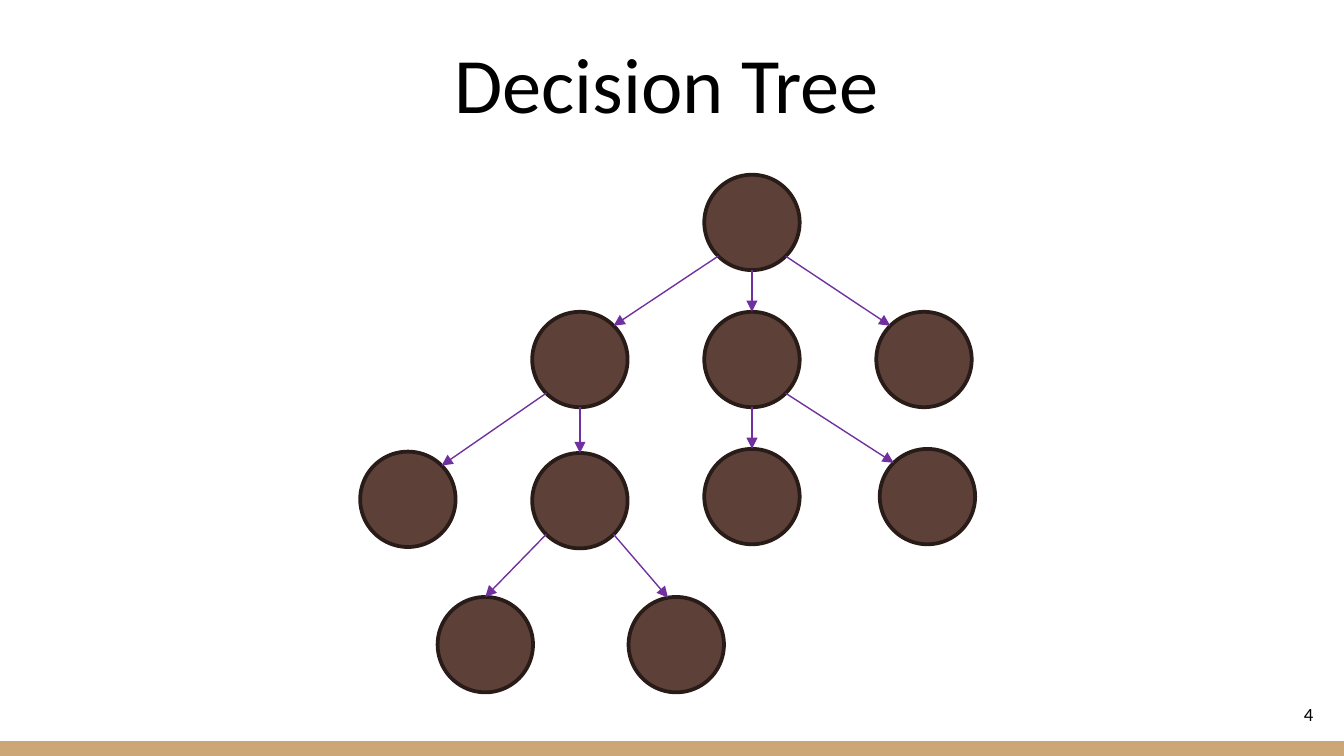
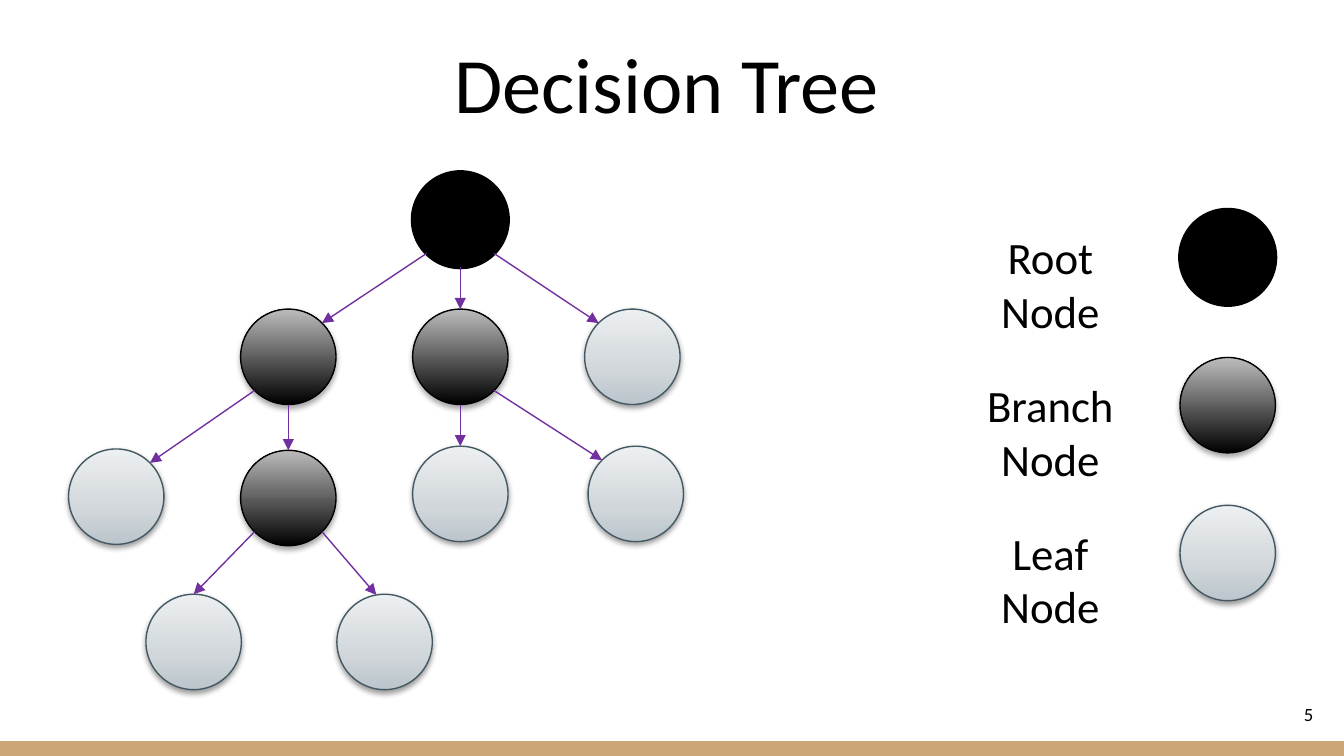
"""Two slides that show a decision tree, first plain and then by kind of node."""
from math import cos, radians, sin

from lxml import etree
from pptx import Presentation
from pptx.dml.color import RGBColor
from pptx.enum.shapes import MSO_CONNECTOR, MSO_SHAPE
from pptx.enum.text import MSO_ANCHOR, MSO_AUTO_SIZE, PP_ALIGN
from pptx.oxml.ns import qn
from pptx.util import Inches, Pt

OVAL, RECT, LINE = MSO_SHAPE.OVAL, MSO_SHAPE.RECTANGLE, MSO_CONNECTOR.STRAIGHT
BOTTOM, MIDDLE, TOP = MSO_ANCHOR.BOTTOM, MSO_ANCHOR.MIDDLE, MSO_ANCHOR.TOP
CENTER, RIGHT = PP_ALIGN.CENTER, PP_ALIGN.RIGHT
FIXED = MSO_AUTO_SIZE.NONE

W = 10
H = W * 9 / 16
BAND = 0.11
FONT = "Calibri"
COLORS = {"page": "FFFFFF", "text": "000000", "band": "CCA677", "arrow": "7030A0"}
KINDS = {
    "plain": {"stops": [(0, "5D4037")], "line": ("291C18", 2)},
    "root": {"stops": [(0, "000000")], "line": ("000000", 2)},
    "branch": {"stops": [(0, "000000"), (100, "BDBDBD")],
               "line": ("000000", 0.75), "shadow": (35, 3.1, 1.8)},
    "leaf": {"stops": [(0, "BBC5CB"), (35, "D0D6DA"), (100, "EDF0F1")],
             "line": ("435863", 0.75), "shadow": (38, 3.1, 1.6)},
}

NODES = {
    "A": (2, 0, "root"),
    "B": (1, 1, "branch"),
    "C": (2, 1, "branch"),
    "D": (0, 2.02, "leaf"),
    "E": (3, 1, "leaf"),
    "F": (3.02, 2, "leaf"),
    "G": (1, 2.03, "branch"),
    "H": (2, 2, "leaf"),
    "I": (0.45, 3.08, "leaf"),
    "J": (1.56, 3.08, "leaf"),
}
ARROWS = [
    ("A", 90, "C", 270), ("A", 135, "B", 315), ("A", 45, "E", 225),
    ("C", 90, "H", 270), ("C", 45, "F", 225),
    ("B", 90, "G", 270), ("B", 135, "D", 315),
    ("G", 135, "I", 270), ("G", 45, "J", 260),
]
LEGEND = [("Root Node", "root"), ("Branch Node", "branch"), ("Leaf Node", "leaf")]
SLIDES = [
    {"title": "Decision Tree", "number": "4", "tree": (2.68, 1.3),
     "colored": False, "legend": []},
    {"title": "Decision Tree", "number": "5", "tree": (0.51, 1.28),
     "colored": True, "legend": LEGEND},
]
SIZE, COL, ROW = 0.71, 1.28, 1.02
LEGEND_X, LEGEND_Y, LEGEND_STEP = 8.78, 1.56, 1.1


def rgb(value):
    return RGBColor.from_string(value)


def box(x, y, w, h):
    return [Inches(v) for v in (x, y, w, h)]


def write(sp, text, size, align, anchor, inset=0.1):
    tf = sp.text_frame
    tf.word_wrap, tf.auto_size, tf.vertical_anchor = True, FIXED, anchor
    tf.margin_left = tf.margin_right = Inches(0.1)
    tf.margin_top = tf.margin_bottom = Inches(inset)
    p = tf.paragraphs[0]
    p.alignment = align
    r = p.add_run()
    r.text = text
    r.font.name, r.font.size = FONT, Pt(size)
    r.font.color.rgb = rgb(COLORS["text"])


def add_color(parent, value):
    return etree.SubElement(parent, qn("a:srgbClr"), val=value)


def paint(fill, stops):
    if len(stops) == 1:
        fill.solid()
        fill.fore_color.rgb = rgb(stops[0][1])


def shade(sp, stops):
    sp.fill.gradient()
    sp.fill.gradient_angle = 90
    gs_list = next(sp._element.spPr.iter(qn("a:gsLst")))
    for gs in list(gs_list):
        gs_list.remove(gs)
    for pos, value in stops:
        gs = etree.SubElement(gs_list, qn("a:gs"), pos=str(pos * 1000))
        add_color(gs, value)


def add_shadow(sp, alpha, blur, dist):
    effects = sp._element.spPr.find(qn("a:effectLst"))
    outer = etree.SubElement(effects, qn("a:outerShdw"), blurRad=str(Pt(blur)),
                             dist=str(Pt(dist)), dir="5400000", rotWithShape="0")
    etree.SubElement(add_color(outer, "000000"), qn("a:alpha"), val=str(alpha * 1000))


def add_node(shapes, x, y, kind):
    style = KINDS[kind]
    sp = shapes.add_shape(OVAL, *box(x, y, SIZE, SIZE))
    sp.shadow.inherit = False
    color, width = style["line"]
    sp.line.color.rgb, sp.line.width = rgb(color), Pt(width)
    if "shadow" in style:
        shade(sp, style["stops"])
        add_shadow(sp, *style["shadow"])
    else:
        paint(sp.fill, style["stops"])


def rim(corner, angle):
    turn = radians(angle)
    x, y = corner
    return (Inches(x + SIZE / 2 * (1 + cos(turn))),
            Inches(y + SIZE / 2 * (1 + sin(turn))))


def add_arrow(shapes, start, end):
    cxn = shapes.add_connector(LINE, *start, *end)
    cxn.line.color.rgb, cxn.line.width = rgb(COLORS["arrow"]), Pt(0.75)
    ln = cxn._element.spPr.find(qn("a:ln"))
    etree.SubElement(ln, qn("a:tailEnd"), type="triangle")
    etree.SubElement(cxn._element.spPr, qn("a:effectLst"))


def add_tree(s, origin, colored):
    shapes = s.shapes.add_group_shape().shapes
    left, top = origin
    corners = {}
    for name, (col, row, kind) in NODES.items():
        corners[name] = (left + col * COL, top + row * ROW)
        add_node(shapes, *corners[name], kind if colored else "plain")
    for parent, leave, child, arrive in ARROWS:
        add_arrow(shapes, rim(corners[parent], leave), rim(corners[child], arrive))


def add_legend(s, entries):
    for i, (label, kind) in enumerate(entries):
        y = LEGEND_Y + i * LEGEND_STEP
        add_node(s.shapes, LEGEND_X, y, kind)
        sp = s.shapes.add_textbox(*box(7.06, y + 0.1, 1.51, 0.5))
        write(sp, label, 24, CENTER, TOP, 0.05)


def add_frame(s, title, number):
    paint(s.background.fill, [(0, COLORS["page"])])
    band = s.shapes.add_shape(RECT, *box(0, H - BAND, W, BAND))
    band.shadow.inherit = False
    paint(band.fill, [(0, COLORS["band"])])
    band.line.fill.background()
    sp = s.shapes.title
    sp.left, sp.top, sp.width, sp.height = box(0.3, 0.15, 9.32, 0.91)
    write(sp, title, 42, CENTER, BOTTOM)
    sp = s.shapes.add_textbox(*box(9.27, 5.1, 0.6, 0.43))
    write(sp, number, 10, RIGHT, MIDDLE)


def main():
    prs = Presentation()
    prs.slide_width, prs.slide_height = Inches(W), Inches(H)
    for item in SLIDES:
        s = prs.slides.add_slide(prs.slide_layouts[5])
        add_frame(s, item["title"], item["number"])
        add_tree(s, item["tree"], item["colored"])
        add_legend(s, item["legend"])
    prs.save("out.pptx")


if __name__ == "__main__":
    main()
